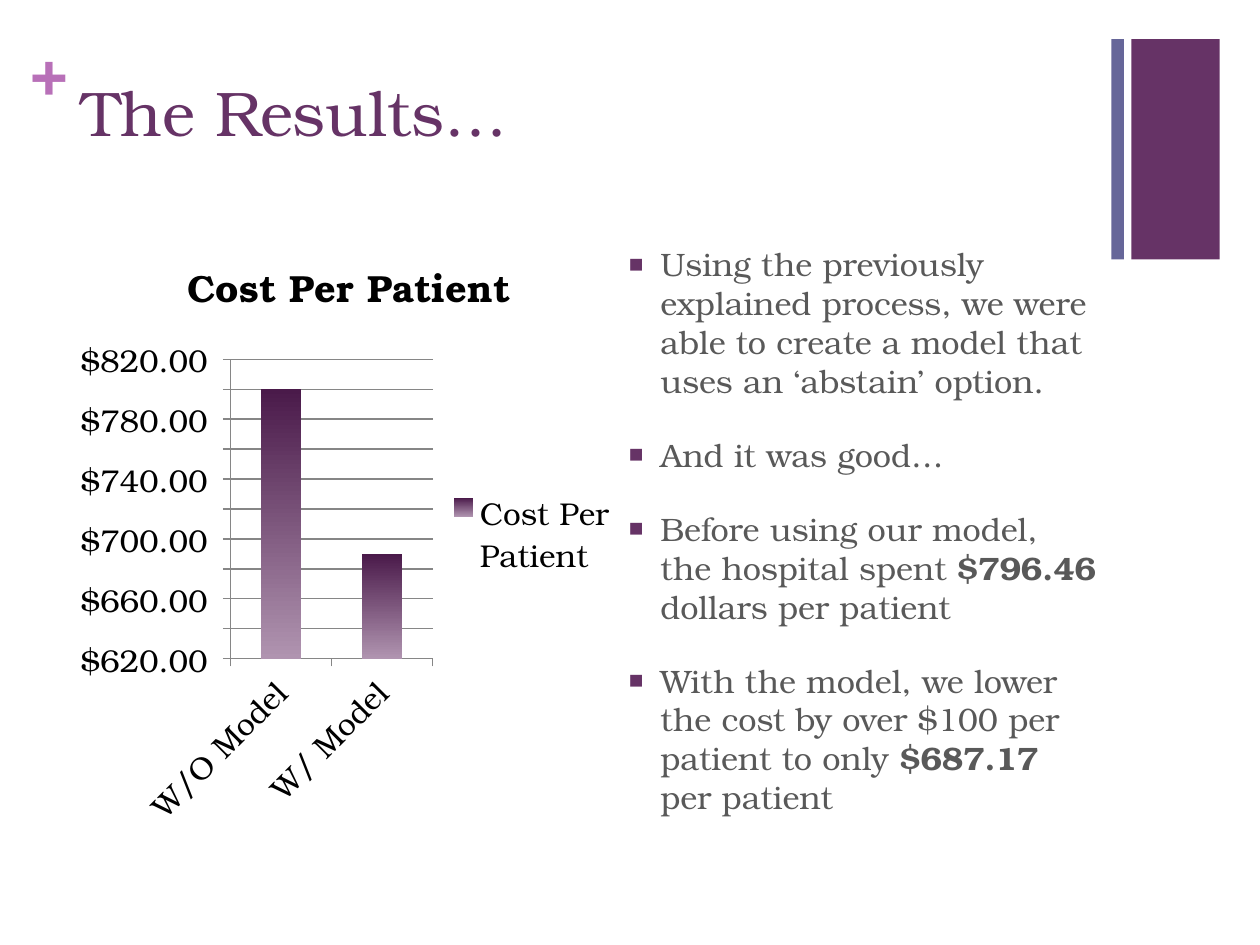
import pptx
import pptx.chart.data
import pptx.dml.color
import pptx.enum.chart
import pptx.enum.shapes
import pptx.enum.text
import pptx.util
from lxml import etree

WIDTH, HEIGHT = 10, 7.5
FONT = "TeX Gyre Bonum"
COLORS = {
    "plum": "663366", "slate": "666699", "orchid": "B870B8", "body": "595959",
    "black": "000000", "grid": "868686", "bar_top": "4A1A4A", "bar_base": "B094B0",
}
BANDS = [(8.98, 0.7, "plum"), (8.82, 0.1, "slate")]
FINDINGS = [
    [("Using the previously explained process, we were able to create a model "
      "that uses an ‘abstain’ option.", False)],
    [("And it was good…", False)],
    [("Before using our model, the hospital spent ", False), ("$796.46", True),
     (" dollars per patient", False)],
    [("With the model, we lower the cost by over $100 per patient to only ", False),
     ("$687.17", True), (" per patient", False)],
]
COSTS = {"W/O Model": 800, "W/ Model": 690}


def rgb(name):
    """Return the named palette colour."""
    return pptx.dml.color.RGBColor.from_string(COLORS[name])


def box(*lengths):
    """Convert inches to slide lengths."""
    return [pptx.util.Inches(length) for length in lengths]


def style(font, size, color, bold=False):
    """Set the typeface, size, colour and weight of a font."""
    font.name, font.size, font.bold = FONT, pptx.util.Pt(size), bold
    font.color.rgb = rgb(color)


def write(paragraph, text, *, size, color, bold=False):
    """Append a formatted run to a paragraph."""
    run = paragraph.add_run()
    run.text = text
    style(run.font, size, color, bold)


def place(holder, left, top, width, height):
    """Move a placeholder and prepare its frame for top-anchored text."""
    holder.left, holder.top, holder.width, holder.height = box(left, top, width, height)
    frame = holder.text_frame
    frame.word_wrap = True
    frame.auto_size = pptx.enum.text.MSO_AUTO_SIZE.NONE
    frame.vertical_anchor = pptx.enum.text.MSO_ANCHOR.TOP
    return frame


def add_band(slide, left, width, color):
    """Draw one vertical band of the corner ornament."""
    band = slide.shapes.add_shape(
        pptx.enum.shapes.MSO_SHAPE.RECTANGLE, *box(left, 0.31, width, 1.75))
    band.shadow.inherit = False
    band.fill.solid()
    band.fill.fore_color.rgb = rgb(color)
    band.line.fill.background()


def add_plus(slide):
    """Put the plus sign beside the title."""
    frame = slide.shapes.add_textbox(*box(0.24, 0.25, 0.29, 0.61)).text_frame
    frame.margin_left = frame.margin_right = frame.margin_top = frame.margin_bottom = 0
    write(frame.paragraphs[0], "+", size=36, color="orchid", bold=True)


def add_bullet(paragraph):
    """Give a paragraph a small square bullet and a hanging indent."""
    props = paragraph._p.get_or_add_pPr()
    indent = pptx.util.Inches(0.25)
    props.set("marL", str(indent))
    props.set("indent", str(-indent))
    tag = pptx.oxml.ns.qn
    color = etree.SubElement(props, tag("a:buClr"))
    etree.SubElement(color, tag("a:srgbClr"), val=COLORS["plum"])
    etree.SubElement(props, tag("a:buSzPct"), val="75000")
    etree.SubElement(props, tag("a:buChar"), char="■")


def fill_findings(holder):
    """Write the bulleted findings into the body placeholder."""
    frame = place(holder, 4.89, 1.89, 3.92, 4.76)
    for index, finding in enumerate(FINDINGS):
        paragraph = frame.add_paragraph() if index else frame.paragraphs[0]
        paragraph.space_before = pptx.util.Pt(20)
        add_bullet(paragraph)
        for text, bold in finding:
            write(paragraph, text, size=18.5, color="body", bold=bold)


def style_line(line):
    """Draw a chart line thin and grey."""
    line.color.rgb = rgb("grid")
    line.width = pptx.util.Pt(0.75)


def style_axis(axis):
    """Format the line, ticks and labels of an axis."""
    axis.major_tick_mark = pptx.enum.chart.XL_TICK_MARK.OUTSIDE
    axis.minor_tick_mark = pptx.enum.chart.XL_TICK_MARK.NONE
    style_line(axis.format.line)
    style(axis.tick_labels.font, 18, "black")


def add_cost_chart(slide):
    """Add the column chart of cost per patient."""
    data = pptx.chart.data.CategoryChartData()
    data.categories = list(COSTS)
    data.add_series("Cost Per Patient", list(COSTS.values()))
    chart = slide.shapes.add_chart(
        pptx.enum.chart.XL_CHART_TYPE.COLUMN_CLUSTERED,
        *box(0.55, 1.82, 4.45, 4.83), data).chart
    style(chart.font, 18, "black")
    chart.has_title = True
    write(chart.chart_title.text_frame.paragraphs[0], "Cost Per Patient",
          size=21.6, color="black", bold=True)
    chart.has_legend = True
    chart.legend.position = pptx.enum.chart.XL_LEGEND_POSITION.RIGHT
    chart.legend.include_in_layout = False
    style(chart.legend.font, 18, "black")

    style_axis(chart.category_axis)
    labels = chart.category_axis._element.find(pptx.oxml.ns.qn("c:txPr"))
    labels.find(pptx.oxml.ns.qn("a:bodyPr")).set("rot", "-2700000")
    cost_axis = chart.value_axis
    style_axis(cost_axis)
    cost_axis.minimum_scale, cost_axis.maximum_scale = 620, 820
    cost_axis.major_unit = 20
    cost_axis.has_major_gridlines = True
    style_line(cost_axis.major_gridlines.format.line)
    cost_axis.tick_labels.number_format = '"$"#,##0.00_);[Red]\\("$"#,##0.00\\)'
    cost_axis.tick_labels.number_format_is_linked = False

    plot = chart.plots[0]
    plot.gap_width, plot.vary_by_categories = 150, False
    bar_fill = plot.series[0].format.fill
    bar_fill.gradient()
    bar_fill.gradient_angle = 90
    for stop, color in zip(bar_fill.gradient_stops, ("bar_base", "bar_top")):
        stop.color.rgb = rgb(color)


def main():
    """Build and save the results slide."""
    deck = pptx.Presentation()
    deck.slide_width, deck.slide_height = box(WIDTH, HEIGHT)
    slide = deck.slides.add_slide(deck.slide_layouts[1])
    for band in BANDS:
        add_band(slide, *band)
    add_plus(slide)
    heading = place(slide.shapes.title, 0.55, 0.53, 8.26, 1.22).paragraphs[0]
    heading.alignment = pptx.enum.text.PP_ALIGN.LEFT
    write(heading, "The Results…", size=36, color="plum")
    fill_findings(slide.placeholders[1])
    add_cost_chart(slide)
    deck.save("out.pptx")


main()
